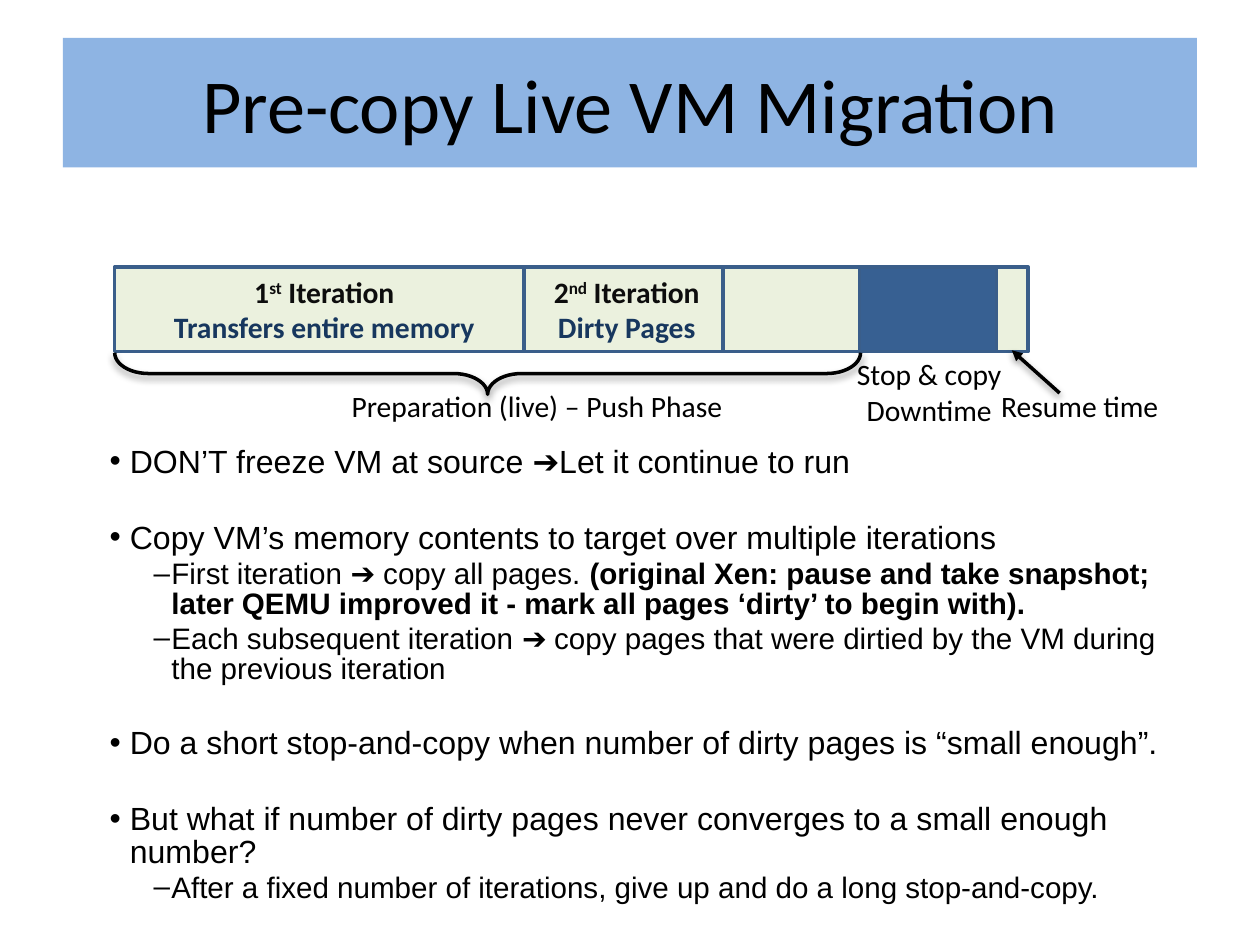
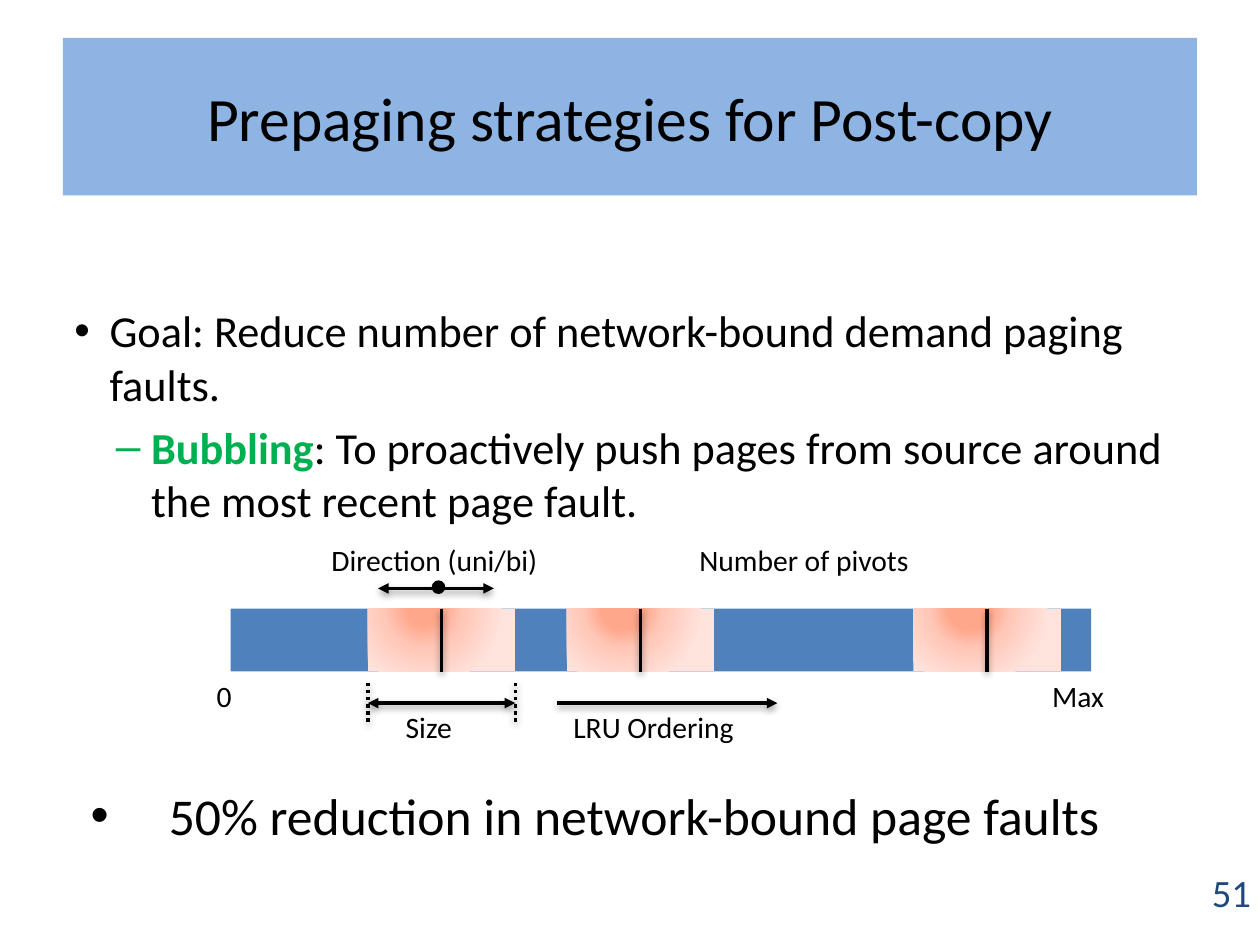
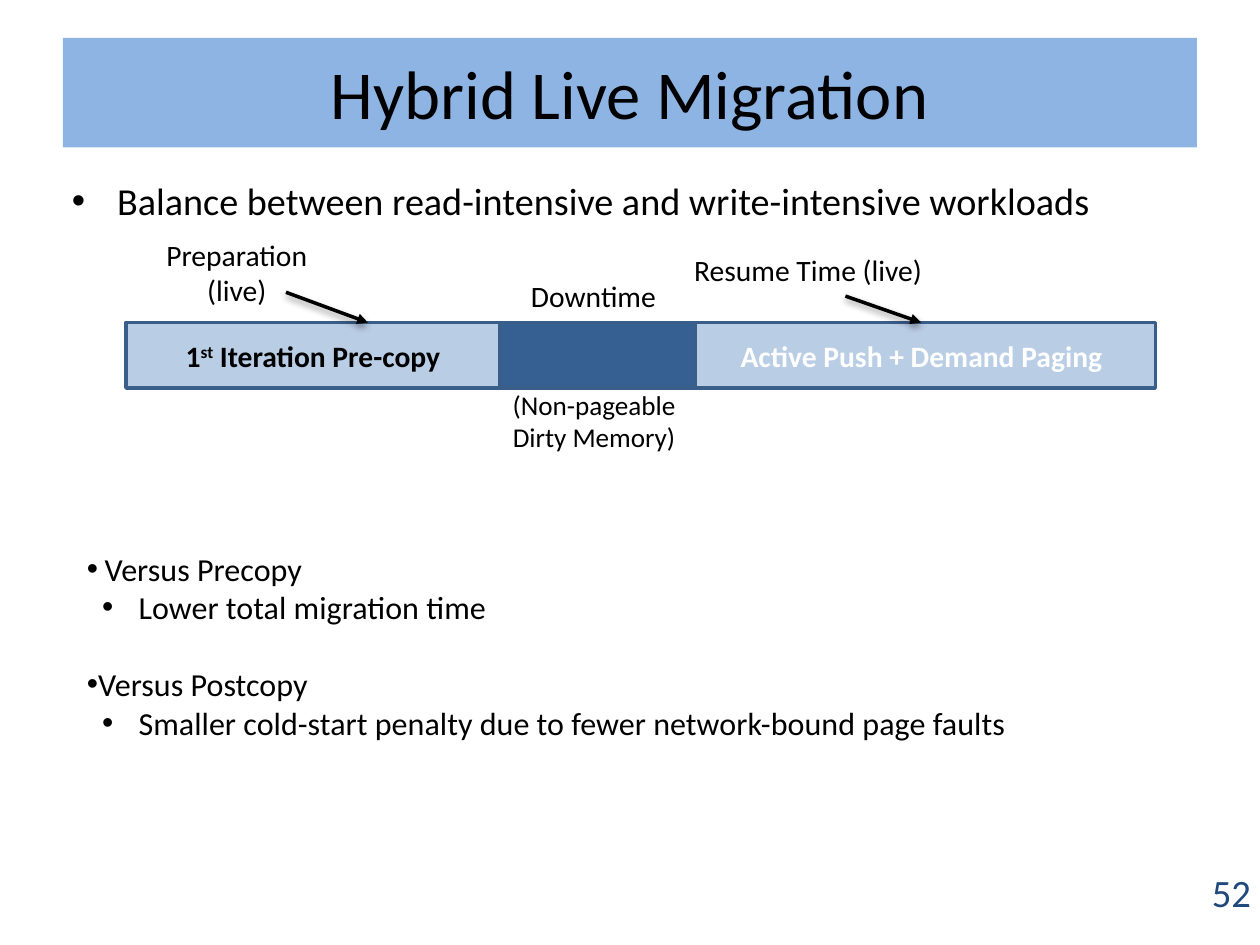
from dataclasses import dataclass

from lxml import etree
from pptx import Presentation
from pptx.dml.color import RGBColor
from pptx.enum.dml import MSO_LINE
from pptx.enum.shapes import MSO_CONNECTOR, MSO_SHAPE
from pptx.enum.text import MSO_ANCHOR, PP_ALIGN
from pptx.oxml.ns import qn
from pptx.util import Inches, Pt

RECTANGLE, OVAL, BRACE = MSO_SHAPE.RECTANGLE, MSO_SHAPE.OVAL, MSO_SHAPE.RIGHT_BRACE
STRAIGHT = MSO_CONNECTOR.STRAIGHT
DOTTED = MSO_LINE.ROUND_DOT
LEFT, CENTER, RIGHT = PP_ALIGN.LEFT, PP_ALIGN.CENTER, PP_ALIGN.RIGHT
TOP, MIDDLE = MSO_ANCHOR.TOP, MSO_ANCHOR.MIDDLE

COLORS = {
    "black": "000000", "white": "FFFFFF", "band": "8EB4E3", "number": "1F497D",
    "outline": "3A5E8A", "live": "EBF1DE", "stopped": "376092", "hybrid": "B9CDE5",
    "heading": "0D0D0D", "detail": "17375E", "strategy": "00B050", "memory": "4F81BD",
    "glow": "FFA78B", "glow mid": "FFC7B8", "glow edge": "FFE3DC",
}
FONT = "Calibri"
LABEL_SIZE = 16.9
LINE_WIDTH = 2


@dataclass(frozen=True)
class Box:
    """A rectangle in inches."""
    left: float
    top: float
    width: float
    height: float

    def inside(self, left, top, width, height):
        """Return a box placed relative to this one."""
        return Box(self.left + left, self.top + top, width, height)

    def lengths(self):
        """Return the four lengths that python-pptx expects."""
        return [Inches(value) for value in (self.left, self.top, self.width, self.height)]


@dataclass(frozen=True)
class Run:
    """A piece of text with its own look."""
    text: str
    color: str = ""
    bold: bool = False
    raised: bool = False


@dataclass(frozen=True)
class Line:
    """A paragraph made of runs, with an optional bullet."""
    runs: tuple
    bullet: str = ""
    margin: float = 0
    hanging: float = 0
    before: float = 0
    size: float = 0
    level: int = 0


def line(text, **settings):
    """Return a paragraph with a single run."""
    return Line((Run(text),), **settings)


def rgb(name):
    """Return a palette colour."""
    return RGBColor.from_string(COLORS[name])


def add_bullet(paragraph, item):
    """Give a paragraph its bullet and hanging indent."""
    properties = paragraph._p.get_or_add_pPr()
    properties.set("marL", str(Inches(item.margin)))
    properties.set("indent", str(-Inches(item.hanging)))
    etree.SubElement(properties, qn("a:buFont"), typeface="Arial")
    etree.SubElement(properties, qn("a:buChar"), char=item.bullet)


def write(shape, lines, size=LABEL_SIZE, color="black", align=LEFT, anchor=TOP,
          inset=0.05, font=FONT, spacing=1, wrap=True):
    """Fill a shape with formatted paragraphs."""
    frame = shape.text_frame
    frame.word_wrap = wrap
    frame.vertical_anchor = anchor
    frame.margin_left = frame.margin_right = Inches(inset)
    frame.margin_top = frame.margin_bottom = Inches(inset)
    for index, item in enumerate(lines):
        paragraph = frame.add_paragraph() if index else frame.paragraphs[0]
        if item.bullet:
            add_bullet(paragraph, item)
        paragraph.level = item.level
        paragraph.alignment = align
        paragraph.line_spacing = spacing
        paragraph.space_before = Pt(item.before)
        for part in item.runs:
            run = paragraph.add_run()
            run.text = part.text
            run.font.name = font
            run.font.size = Pt(item.size or size)
            run.font.bold = part.bold
            run.font.color.rgb = rgb(part.color or color)
            if part.raised:
                run._r.get_or_add_rPr().set("baseline", "30000")


def add_text(slide, box, lines, **settings):
    """Add a text box."""
    shape = slide.shapes.add_textbox(*box.lengths())
    write(shape, lines, **settings)
    return shape


def add_label(slide, box, text, **settings):
    """Add a one-line label that does not wrap."""
    add_text(slide, box, [line(text)], wrap=False, **settings)


def add_block(slide, box, fill, outline=None, kind=RECTANGLE):
    """Add a flat filled shape."""
    shape = slide.shapes.add_shape(kind, *box.lengths())
    shape.shadow.inherit = False
    if fill:
        shape.fill.solid()
        shape.fill.fore_color.rgb = rgb(fill)
    else:
        shape.fill.background()
    if outline:
        shape.line.color.rgb = rgb(outline)
        shape.line.width = Pt(LINE_WIDTH)
    else:
        shape.line.fill.background()
    return shape


def add_shadow(shape):
    """Cast a soft shadow straight down."""
    properties = shape._element.spPr
    effects = properties.find(qn("a:effectLst"))
    if effects is None:
        effects = etree.SubElement(properties, qn("a:effectLst"))
    shadow = etree.SubElement(effects, qn("a:outerShdw"), blurRad=str(Pt(4)),
                              dist=str(Pt(2)), dir="5400000", rotWithShape="0")
    color = etree.SubElement(shadow, qn("a:srgbClr"), val=COLORS["black"])
    etree.SubElement(color, qn("a:alpha"), val="38000")


def add_line(slide, box, ends=(), dash=None):
    """Draw a shadowed line across a box from its top left corner."""
    left, top, width, height = box.lengths()
    connector = slide.shapes.add_connector(STRAIGHT, left, top, left + width, top + height)
    connector.line.color.rgb = rgb("black")
    connector.line.width = Pt(LINE_WIDTH)
    if dash:
        connector.line.dash_style = dash
    outline = connector.line._get_or_add_ln()
    for end in ends:
        etree.SubElement(outline, qn(f"a:{end}"), type="triangle")
    add_shadow(connector)


def add_title(slide, text, height, size):
    """Add the title band."""
    band = add_block(slide, Box(0.5, 0.3, 9, height), "band")
    write(band, [line(text)], size=size, align=CENTER, anchor=MIDDLE, inset=0.07)


def add_number(slide, number):
    """Add the slide number at the lower right."""
    block = add_block(slide, Box(7.67, 6.86, 2.33, 0.49), "white")
    write(block, [line(number)], size=22.1, color="number", align=RIGHT,
          anchor=MIDDLE, inset=0.07, spacing=0.9)


def iteration_heading(number, suffix, rest, color):
    """Return a bold heading with a raised ordinal suffix."""
    return Line((Run(number, color, True), Run(suffix, color, True, True),
                 Run(rest, color, True)))


def add_brace(slide, box):
    """Add a brace below a span, pointing down."""
    shift = (box.width - box.height) / 2
    upright = box.inside(shift, -shift, box.height, box.width)
    brace = add_block(slide, upright, None, "black", BRACE)
    brace.adjustments[0] = 0.82
    brace.rotation = 90
    add_shadow(brace)


def add_precopy_timeline(slide, box):
    """Draw the phases of pre-copy migration."""
    segments = [
        (0, 3.33, "live", ("1", "st", "Transfers entire memory")),
        (3.25, 1.63, "live", ("2", "nd", "Dirty Pages")),
        (5.83, 1.17, "stopped", None),
        (4.83, 1.08, "live", None),
        (7, 0.25, "live", None),
    ]
    for left, width, fill, caption in segments:
        block = add_block(slide, box.inside(left, 0, width, box.height), fill, "outline")
        if caption:
            number, suffix, detail = caption
            write(block, [iteration_heading(number, suffix, " Iteration", "heading"),
                          Line((Run(detail, "detail", True),))],
                  align=CENTER, anchor=MIDDLE)
    add_brace(slide, box.inside(0, 0.68, 5.92, 0.33))
    add_text(slide, box.inside(5.83, 0.66, 1.27, 0.67),
             [line("Stop & copy Downtime")], align=CENTER)
    add_label(slide, box.inside(1.83, 0.91, 3.09, 0.38), "Preparation (live) – Push Phase")
    add_line(slide, box.inside(7.5, 1, -0.38, -0.34), ["tailEnd"])
    add_label(slide, box.inside(6.91, 0.91, 1.5, 0.38), "Resume time", align=CENTER)


def add_precopy_points(slide, box):
    """List how pre-copy works."""
    point = {"bullet": "•", "margin": 0.16, "hanging": 0.16}
    detail = {"bullet": "–", "margin": 0.49, "hanging": 0.14, "before": 2.8,
              "size": LABEL_SIZE, "level": 1}
    gap = 25
    add_text(slide, box, [
        line("DON’T freeze VM at source ➔Let it continue to run", **point),
        line("Copy VM’s memory contents to target over multiple iterations",
             before=gap, **point),
        Line((Run("First iteration ➔ copy all pages. "),
              Run("(original Xen: pause and take snapshot; later QEMU improved it - "
                  "mark all pages ‘dirty’ to begin with).", bold=True)), **detail),
        line("Each subsequent iteration ➔ copy pages that were dirtied by the VM "
             "during the previous iteration", **detail),
        line("Do a short stop-and-copy when number of dirty pages is “small enough”.",
             before=gap, **point),
        line("But what if number of dirty pages never converges to a small enough number?",
             before=gap, **point),
        line("After a fixed number of iterations, give up and do a long stop-and-copy.",
             **detail),
    ], size=18.3, font="Arial", spacing=0.84, anchor=MIDDLE, inset=0.04)


def add_pivot(slide, box, core):
    """Draw a glowing page range with its pivot line."""
    block = add_block(slide, box, "glow")
    gradient = etree.Element(qn("a:gradFill"), rotWithShape="1")
    stops = etree.SubElement(gradient, qn("a:gsLst"))
    for position, name in ((core, "glow"), (50, "glow mid"), (100, "glow edge")):
        stop = etree.SubElement(stops, qn("a:gs"), pos=str(position * 1000))
        etree.SubElement(stop, qn("a:srgbClr"), val=COLORS[name])
    circle = etree.SubElement(gradient, qn("a:path"), path="circle")
    etree.SubElement(circle, qn("a:fillToRect"), l="38000", t="-20000", r="62000", b="120000")
    properties = block._element.spPr
    properties.replace(properties.find(qn("a:solidFill")), gradient)
    add_line(slide, box.inside(box.width / 2, 0, 0, box.height))


def add_memory_map(slide, box):
    """Draw the memory range with its pivots and measures."""
    pivot_width = 1.17
    first_pivot = 1.09
    add_block(slide, box, "memory")
    for left, core in ((first_pivot, 20), (2.67, 26), (5.42, 26)):
        add_pivot(slide, box.inside(left, 0, pivot_width, box.height), core)
    for edge in (first_pivot, first_pivot + pivot_width):
        add_line(slide, box.inside(edge, 0.59, 0, 0.33), dash=DOTTED)
    both = ["headEnd", "tailEnd"]
    add_line(slide, box.inside(first_pivot, 0.75, pivot_width, 0), both)
    add_line(slide, box.inside(2.59, 0.75, 1.75, 0), ["tailEnd"])
    add_line(slide, box.inside(1.17, -0.16, 0.92, 0), both)
    add_block(slide, box.inside(1.61, -0.21, 0.08, 0.08), "black", "black", OVAL)
    for text, left, top, width in (
            ("Direction (uni/bi)", 0.75, -0.58, 1.75), ("Number of pivots", 3.67, -0.58, 1.78),
            ("0", -0.16, 0.5, 0.22), ("Max", 6.47, 0.5, 0.52),
            ("Size", 1.34, 0.75, 0.47), ("LRU Ordering", 2.67, 0.75, 1.39)):
        add_label(slide, box.inside(left, top, width, 0.38), text)


def add_hybrid_timeline(slide, box):
    """Draw the phases of hybrid migration."""
    push = add_block(slide, box.inside(4.46, 0, 3.71, box.height), "hybrid", "outline")
    write(push, [Line((Run("Active Push + Demand Paging", "white", True),))],
          align=CENTER, anchor=MIDDLE)
    add_block(slide, box.inside(2.97, 0, 1.55, box.height), "stopped", "outline")
    first = add_block(slide, box.inside(0, 0, 2.97, box.height), "hybrid", "outline")
    write(first, [iteration_heading("1", "st", " Iteration Pre-copy", "black")],
          align=CENTER, anchor=MIDDLE)
    add_text(slide, box.inside(2.97, -0.4, 1.48, 0.38), [line("Downtime")], align=CENTER)
    add_label(slide, box.inside(4.46, -0.61, 1.93, 0.38), "Resume Time (live)")
    add_text(slide, box.inside(0.01, -0.73, 1.74, 0.67),
             [line("Preparation"), line("(live)")], align=CENTER)
    add_text(slide, box.inside(2.83, 0.47, 1.77, 0.62),
             [line("(Non-pageable"), line("Dirty Memory)")], size=15.5, align=CENTER)
    add_line(slide, box.inside(1.27, -0.24, 0.65, 0.24), ["tailEnd"])
    add_line(slide, box.inside(5.71, -0.21, 0.6, 0.21), ["tailEnd"])


def add_comparison(slide, box):
    """List the gains over the two pure methods."""
    detail = {"bullet": "•", "margin": 0.41, "hanging": 0.29, "level": 1}
    add_text(slide, box, [
        line("Versus Precopy", bullet="•", margin=0.14, hanging=0.14),
        line("Lower total migration time", **detail),
        line("Versus Postcopy", bullet="•", margin=0.08, hanging=0.08, before=22),
        line("Smaller cold-start penalty due to fewer network-bound page faults", **detail),
    ], size=18.3)


def build_precopy(slide):
    """Build the pre-copy slide."""
    add_title(slide, "Pre-copy Live VM Migration", 1.03, 43.6)
    add_precopy_timeline(slide, Box(0.91, 2.12, 7.25, 0.67))
    add_precopy_points(slide, Box(0.83, 3.54, 8.58, 3.65))


def build_prepaging(slide):
    """Build the prepaging slide."""
    add_title(slide, "Prepaging strategies for Post-copy", 1.25, 35.2)
    add_number(slide, "51")
    add_text(slide, Box(0.5, 2.34, 9, 1.99), [
        line("Goal: Reduce number of network-bound demand paging faults.",
             bullet="•", margin=0.3, hanging=0.28),
        Line((Run("Bubbling", "strategy", True),
              Run(": To proactively push pages from source around the most recent page fault.")),
             bullet="–", margin=0.63, hanging=0.28, before=5.6, level=1),
    ], size=25.3, inset=0.07)
    add_memory_map(slide, Box(1.83, 4.83, 6.83, 0.5))
    add_text(slide, Box(0.67, 6.17, 9, 0.67),
             [line("50% reduction in network-bound page faults",
                   bullet="•", margin=0.62, hanging=0.62)], size=29.5)


def build_hybrid(slide):
    """Build the hybrid migration slide."""
    add_title(slide, "Hybrid Live Migration", 0.87, 39.2)
    add_number(slide, "52")
    add_text(slide, Box(0.5, 1.34, 9, 0.58),
             [line("Balance between read-intensive and write-intensive workloads",
                   bullet="•", margin=0.36, hanging=0.36)], size=21.8, inset=0.07)
    add_hybrid_timeline(slide, Box(1, 2.56, 8.17, 0.52))
    add_comparison(slide, Box(0.64, 4.31, 8.41, 1.64))


def main():
    """Build and save the presentation."""
    presentation = Presentation()
    presentation.slide_width = Inches(10)
    presentation.slide_height = Inches(7.5)
    blank = presentation.slide_layouts[6]
    for build in (build_precopy, build_prepaging, build_hybrid):
        build(presentation.slides.add_slide(blank))
    presentation.save("out.pptx")


if __name__ == "__main__":
    main()
